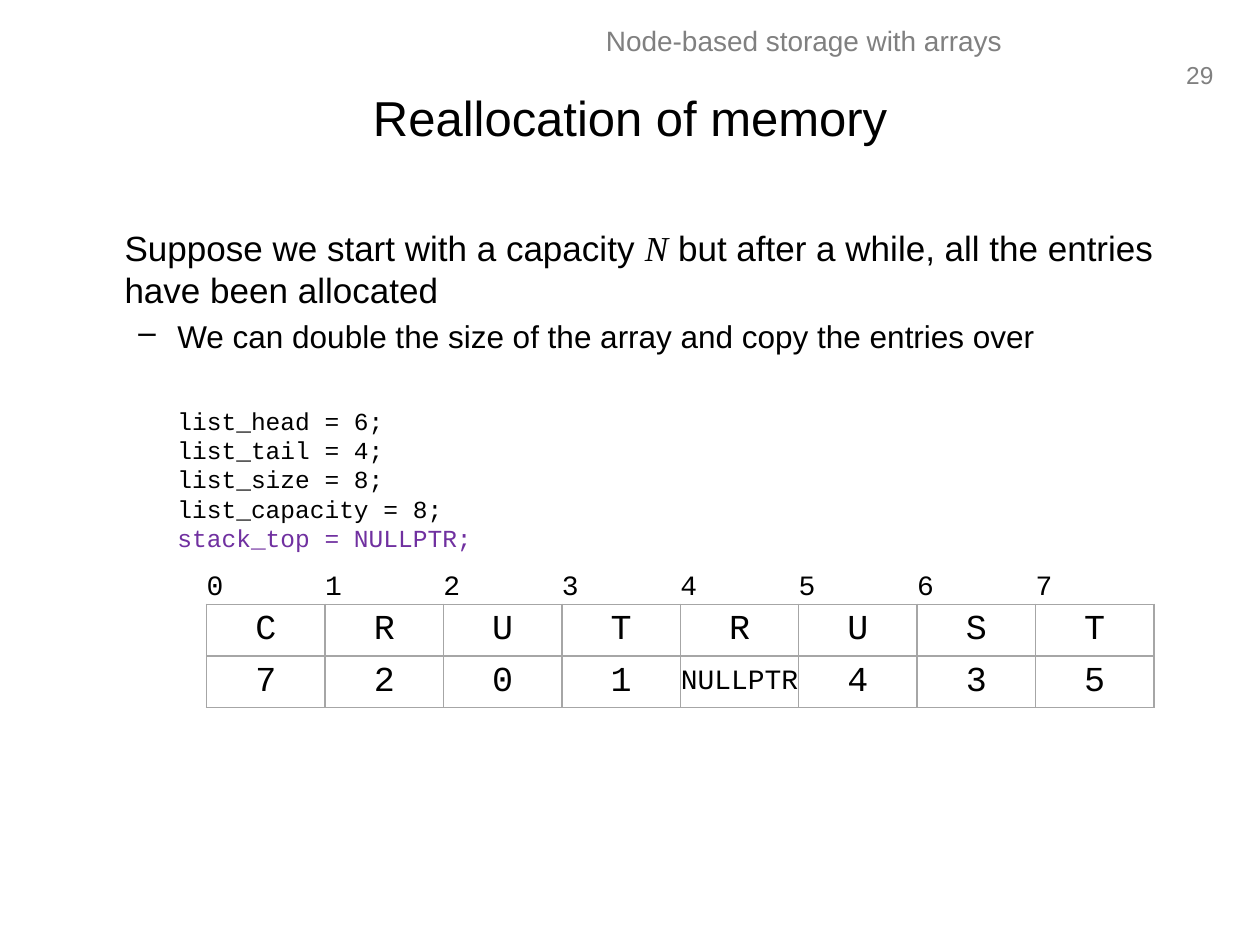
from pptx import Presentation
from pptx.dml.color import RGBColor
from pptx.enum.text import MSO_ANCHOR, PP_ALIGN
from pptx.oxml import parse_xml
from pptx.oxml.ns import nsdecls
from pptx.util import Inches, Pt

BLACK = RGBColor(0x00, 0x00, 0x00)
GREY = RGBColor(0x80, 0x80, 0x80)
PURPLE = RGBColor(0x70, 0x30, 0xA0)
RULE = RGBColor(0xA6, 0xA6, 0xA6)
SANS, SERIF, MONO = "Arial", "Times New Roman", "Courier New"
LEFT, MID, RIGHT = PP_ALIGN.LEFT, PP_ALIGN.CENTER, PP_ALIGN.RIGHT


class Deck:
    def __init__(self):
        self.show = Presentation()
        self.show.slide_width = Inches(10)
        self.show.slide_height = Inches(7.5)
        self.slide = self.show.slides.add_slide(self.show.slide_layouts[6])

    def style(self, para, size, face=SANS, color=BLACK, align=LEFT):
        para.alignment = align
        font = para.font
        font.size = Pt(size)
        font.name = face
        font.color.rgb = color

    def frame(self, left, top, width, height, wrap=True):
        box = self.slide.shapes.add_textbox(
            Inches(left), Inches(top), Inches(width), Inches(height))
        box.text_frame.word_wrap = wrap
        return box.text_frame

    def label(self, text, place, size, color, align, wrap=True):
        frame = self.frame(*place, wrap)
        frame.vertical_anchor = MSO_ANCHOR.MIDDLE
        para = frame.paragraphs[0]
        para.text = text
        self.style(para, size, color=color, align=align)

    def indent(self, para, left, first=0, mark=None):
        props = para._p.get_or_add_pPr()
        props.set("marL", str(Inches(left)))
        props.set("indent", str(Inches(first)))
        if mark:
            props.append(parse_xml(f'<a:buChar {nsdecls("a")} char="{mark}"/>'))

    def body(self, parts, point, place):
        frame = self.frame(*place)
        lead = frame.paragraphs[0]
        self.indent(lead, 0.39)
        self.style(lead, 20)
        for text, face in parts:
            run = lead.add_run()
            run.text = text
            run.font.name = face
            run.font.italic = face == SERIF
        item = frame.add_paragraph()
        item.text = point
        self.indent(item, 0.81, -0.31, "–")
        item.level = 1
        item.space_before = Pt(3.6)
        self.style(item, 18)

    def code(self, lines, place):
        frame = self.frame(*place)
        for i, (text, color) in enumerate(lines):
            para = frame.add_paragraph() if i else frame.paragraphs[0]
            para.text = text
            self.style(para, 14, MONO, color)

    def border(self, cell, sides):
        props = cell._tc.get_or_add_tcPr()
        for i, side in enumerate("LRTB"):
            fill = (f'<a:solidFill><a:srgbClr val="{RULE}"/></a:solidFill>'
                    if side in sides else "<a:noFill/>")
            props.insert(i, parse_xml(
                f'<a:ln{side} {nsdecls("a")} w="{Pt(1)}">{fill}</a:ln{side}>'))

    def table(self, rows, left, top, width, heights):
        count = len(rows[0])
        grid = self.slide.shapes.add_table(
            len(rows), count, Inches(left), Inches(top),
            Inches(width * count), Inches(sum(heights))).table
        grid.first_row = grid.horz_banding = False
        for col in grid.columns:
            col.width = Inches(width)
        for r, row in enumerate(rows):
            grid.rows[r].height = Inches(heights[r])
            for c, text in enumerate(row):
                cell = grid.cell(r, c)
                cell.fill.background()
                cell.margin_left = cell.margin_right = 0
                cell.margin_top = cell.margin_bottom = 0
                cell.vertical_anchor = MSO_ANCHOR.MIDDLE
                para = cell.text_frame.paragraphs[0]
                para.text = text
                small = r == 0 or len(text) > 1
                self.style(para, 16 if small else 20, MONO,
                           align=MID if r else LEFT)
                self.border(cell, "LRTB" if r else "B")


def main():
    deck = Deck()
    deck.label("29", (9.29, 0.42, 0.44, 0.34), 14, GREY, RIGHT, False)
    deck.label("Node-based storage with arrays", (3.19, 0.12, 6.38, 0.4),
               16, GREY, MID)
    deck.label("Reallocation of memory", (0.5, 0.3, 9, 1.25), 28, BLACK, MID)
    deck.body(
        [("Suppose we start with a capacity ", SANS), ("N", SERIF),
         (" but after a while, all the entries have been allocated", SANS)],
        "We can double the size of the array and copy the entries over",
        (0.5, 1.75, 9, 4.95))
    deck.table(["01234567", "CRUTRUST",
                ["7", "2", "0", "1", "NULLPTR", "4", "3", "5"]],
               1.64, 4.53, 0.94, (0.25, 0.41, 0.41))
    deck.code([("list_head = 6;", BLACK), ("list_tail = 4;", BLACK),
               ("list_size = 8;", BLACK), ("list_capacity = 8;", BLACK),
               ("stack_top = NULLPTR;", PURPLE)], (1.31, 3.17, 2.99, 1.28))
    deck.show.save("out.pptx")


if __name__ == "__main__":
    main()
